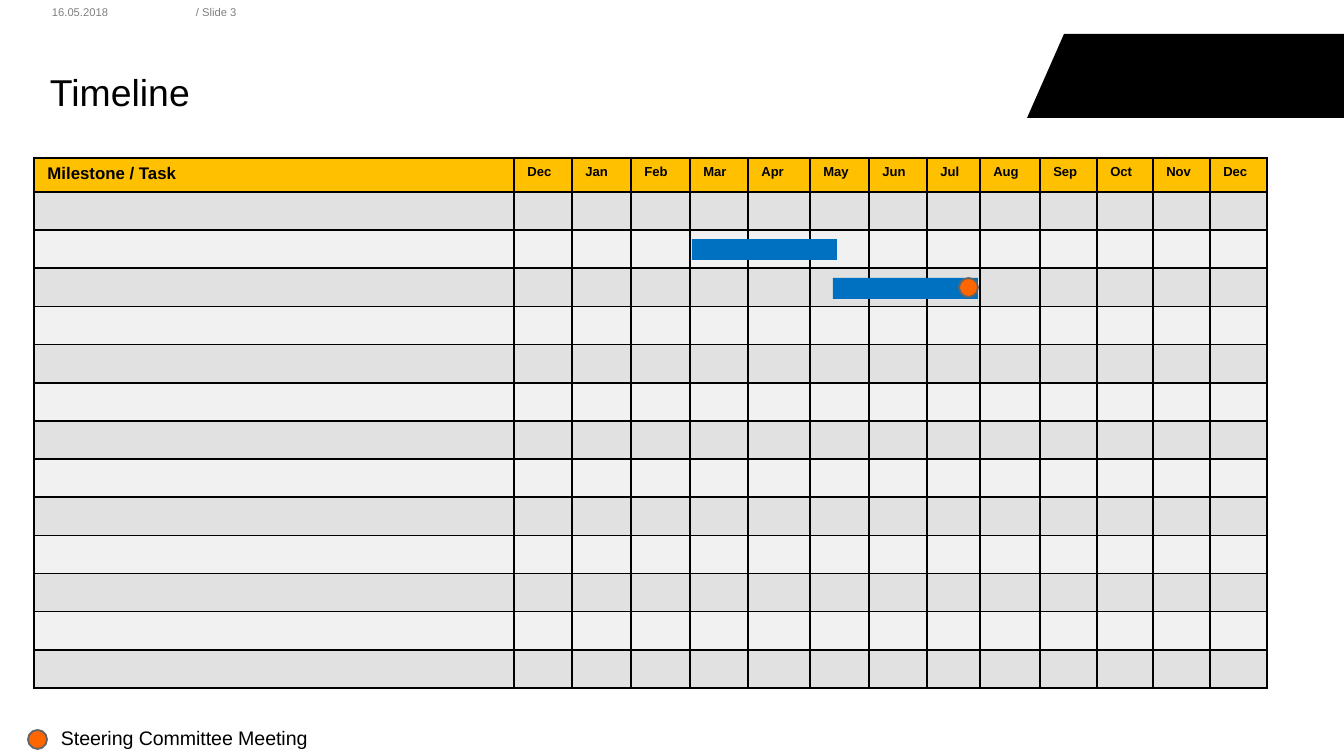
from lxml import etree
from pptx import Presentation
from pptx.dml.color import RGBColor
from pptx.enum.shapes import MSO_SHAPE
from pptx.enum.text import MSO_ANCHOR
from pptx.oxml.ns import qn
from pptx.util import Pt

PX = 9525 * 96 / 134.4
RECTANGLE, OVAL = MSO_SHAPE.RECTANGLE, MSO_SHAPE.OVAL
TOP, MIDDLE = MSO_ANCHOR.TOP, MSO_ANCHOR.MIDDLE


def px(*lengths):
    return [round(length * PX) for length in lengths]


def rgb(value):
    return RGBColor.from_string(value)


prs = Presentation()
prs.slide_width, prs.slide_height = px(1344, 756)
slide = prs.slides.add_slide(prs.slide_layouts[6])
shapes = slide.shapes

# Slanted header band
outline = shapes.build_freeform(1027, 118, scale=PX)
outline.add_line_segments([(1344, 118), (1344, 34), (1064, 34)], close=True)
band = outline.convert_to_shape()
band.shadow.inherit = False
band.fill.solid()
band.fill.fore_color.rgb = rgb("000000")
band.line.fill.background()

# Title, header fields and legend label: text, box, insets, size, colour, anchor, line spacing
labels = [
    ("Timeline", (38, 59, 930, 65), (12, 5), 20, "000000", MIDDLE, None),
    ("16.05.2018", (52, 5, 114, 27), (0, 0), 6, "808080", TOP, Pt(7.5)),
    ("/ Slide 3", (196, 5, 82, 27), (0, 0), 6, "808080", TOP, Pt(7.5)),
    ("Steering Committee Meeting", (48, 719, 289, 32), (13, 7), 10.5, "000000", TOP, None),
]
for text, box, insets, size, color, anchor, spacing in labels:
    frame = shapes.add_textbox(*px(*box)).text_frame
    side, edge = px(*insets)
    frame_format = {
        "word_wrap": True, "vertical_anchor": anchor,
        "margin_left": side, "margin_right": side,
        "margin_top": edge, "margin_bottom": edge,
    }
    for name, value in frame_format.items():
        setattr(frame, name, value)
    paragraph = frame.paragraphs[0]
    paragraph.line_spacing = spacing
    run = paragraph.add_run()
    run.text = text
    run.font.name, run.font.size = "Arial", Pt(size)
    run.font.color.rgb = rgb(color)

# Timeline grid
headings = ["Milestone / Task", "Dec", "Jan", "Feb", "Mar", "Apr", "May", "Jun",
            "Jul", "Aug", "Sep", "Oct", "Nov", "Dec"]
column_widths = px(480, 58, 59, 59, 58, 62, 59, 58, 53, 60, 57, 56, 57, 57)
task_count = 13
header_height, tasks_height = px(34, 496)

grid = shapes.add_table(task_count + 1, len(headings), *px(34, 158, 1233, 530)).table
for column, width in zip(grid.columns, column_widths):
    column.width = width
for row in grid.rows:
    row.height = tasks_height // task_count
grid.rows[0].height = header_height

for r, row in enumerate(grid.rows):
    for c, cell in enumerate(row.cells):
        paragraph = cell.text_frame.paragraphs[0]
        if r == 0:
            fill = "FFC000"
            run = paragraph.add_run()
            run.text = headings[c]
            run.font.name, run.font.bold = "Arial", True
            run.font.size = Pt(9 if c == 0 else 7)
            run.font.color.rgb = rgb("000000")
        else:
            fill = "E1E1E2" if r % 2 else "F1F1F1"
            etree.SubElement(paragraph._p, qn("a:endParaRPr"), sz="700")
        properties = cell._tc.get_or_add_tcPr()
        for side in ("lnL", "lnR", "lnT", "lnB"):
            border = etree.SubElement(properties, qn(f"a:{side}"), w=str(Pt(1)))
            paint = etree.SubElement(border, qn("a:solidFill"))
            etree.SubElement(paint, qn("a:srgbClr"), val="000000")
        cell.fill.solid()
        cell.fill.fore_color.rgb = rgb(fill)

# Task bars and meeting markers
marks = [
    (OVAL, (28, 730, 19, 19), "FF6600", "656567"),
    (RECTANGLE, (692, 239, 145, 21), "0070C0", None),
    (RECTANGLE, (833, 278, 145, 21), "0070C0", None),
    (OVAL, (959, 278, 19, 19), "FF6600", "656567"),
]
for kind, box, fill, line in marks:
    mark = shapes.add_shape(kind, *px(*box))
    mark.shadow.inherit = False
    mark.fill.solid()
    mark.fill.fore_color.rgb = rgb(fill)
    if line:
        mark.line.color.rgb = rgb(line)
        mark.line.width = Pt(1)
    else:
        mark.line.fill.background()

prs.save("out.pptx")
